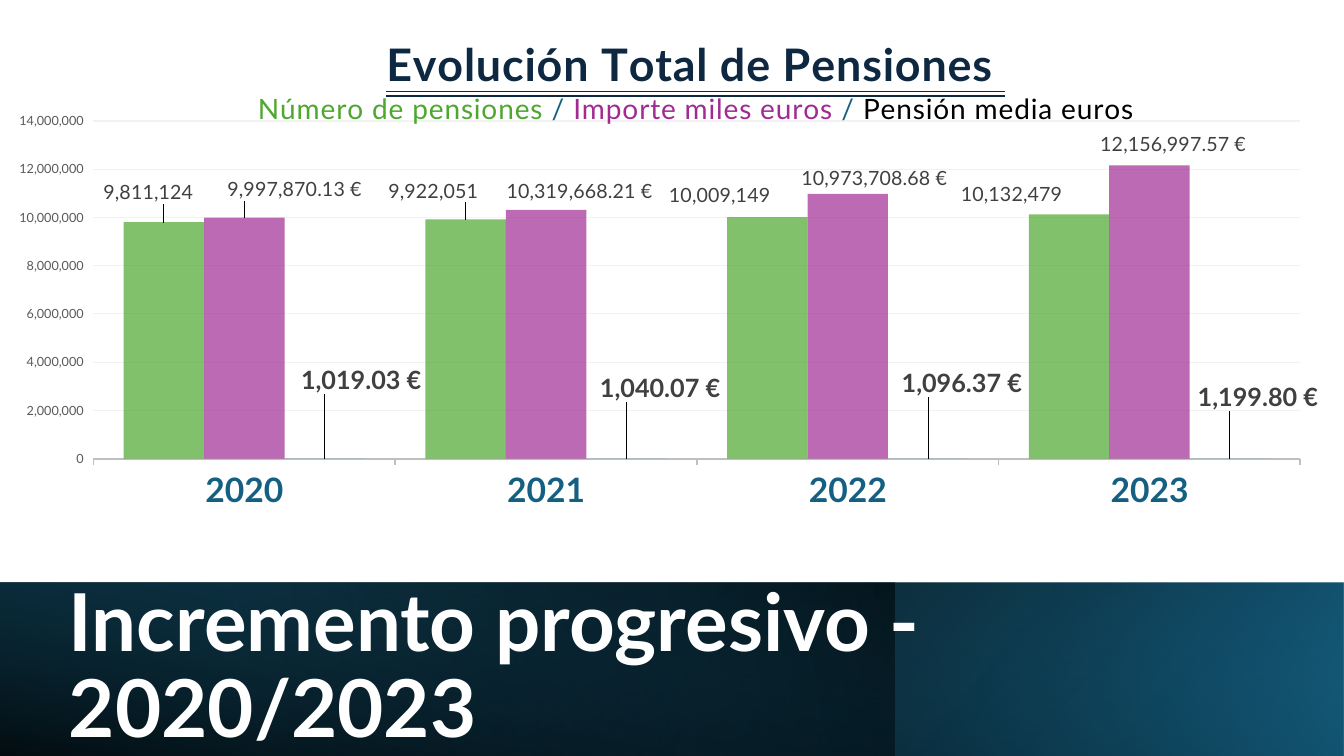
from lxml import etree
from pptx import Presentation
from pptx.chart import data
from pptx.dml.color import RGBColor
from pptx.enum import chart as charts, shapes, text
from pptx.oxml import ns
from pptx.util import Pt

FONT = "Lato"
BLACK = RGBColor(0x00, 0x00, 0x00)
WHITE = RGBColor(0xFF, 0xFF, 0xFF)
TEAL = RGBColor(0x15, 0x60, 0x82)
DEEP_TEAL = RGBColor(0x10, 0x48, 0x62)
NAVY = RGBColor(0x0E, 0x28, 0x41)
GREEN = RGBColor(0x4E, 0xA7, 0x2E)
PURPLE = RGBColor(0xA0, 0x2B, 0x93)
BLUE = RGBColor(0x0F, 0x9E, 0xD5)
LABEL_GRAY = RGBColor(0x40, 0x40, 0x40)
AXIS_GRAY = RGBColor(0x59, 0x59, 0x59)
LINE_GRAY = RGBColor(0xBF, 0xBF, 0xBF)
GRID_GRAY = RGBColor(0xF2, 0xF2, 0xF2)

SLIDE_WIDTH, SLIDE_HEIGHT = 960, 540
BAND_TOP, BAND_HEIGHT = 416, 125
CHART_LEFT, CHART_WIDTH, CHART_HEIGHT = -10, 960, 386

# Width, angle and stops (position, colour, opacity in percent), back to front
BAND_LAYERS = [
    (960, 140, [(34, BLACK, 96), (100, TEAL, 100)]),
    (639, 190, [(28, DEEP_TEAL, 59), (100, BLACK, 70)]),
    (960, 260, [(0, BLACK, 72), (100, TEAL, 0)]),
]

YEARS = ["2020", "2021", "2022", "2023"]
COUNT_FORMAT = "#,##0"
EURO_FORMAT = '#,##0.00\\ "€"'
# Name, values, colour, number format, label size, bold, label shifts in points
SERIES = [
    ("Número de pensiones", [9811124, 9922051, 10009149, 10132479],
     GREEN, COUNT_FORMAT, 14, False, [(-11, -10), (-23, -9), (-34, -5), (-41, -3)]),
    ("Importe miles euros", [9997870.13, 10319668.21, 10973708.68, 12156997.57],
     PURPLE, EURO_FORMAT, 14, False, [(36, -9), (24, -2), (19, 0), (17, -4)]),
    ("Pensión media euros", [1019.03, 1040.07, 1096.37, 1199.8],
     BLUE, EURO_FORMAT, 18, True, [(26, -43), (24, -37), (24, -41), (20, -31)]),
]


def add_element(parent, tag, **attributes):
    element = etree.SubElement(parent, ns.qn(tag))
    for name, value in attributes.items():
        element.set(name, str(value))
    return element


def format_font(font, size, color, bold=False):
    font.name = FONT
    font.size = Pt(size)
    font.bold = bold
    font.color.rgb = color


def add_text(paragraph, content, size, color, bold=False, underline=None, spacing=None):
    run = paragraph.add_run()
    run.text = content
    format_font(run.font, size, color, bold)
    if underline:
        run.font.underline = underline
    if spacing:
        run.font._element.set("spc", str(round(spacing * 100)))


def add_band_layer(slide, width, angle, stops):
    """Add a mirrored rectangle with a partly transparent gradient."""
    shape = slide.shapes.add_shape(
        shapes.MSO_SHAPE.RECTANGLE, 0, Pt(BAND_TOP), Pt(width), Pt(BAND_HEIGHT))
    shape.shadow.inherit = False
    shape.line.fill.background()
    properties = shape.element.spPr
    properties.find(ns.qn("a:xfrm")).set("flipH", "1")
    gradient = etree.Element(ns.qn("a:gradFill"), rotWithShape="1")
    stop_list = add_element(gradient, "a:gsLst")
    for position, color, opacity in stops:
        stop = add_element(stop_list, "a:gs", pos=position * 1000)
        stop_color = add_element(stop, "a:srgbClr", val=color)
        add_element(stop_color, "a:alpha", val=opacity * 1000)
    add_element(gradient, "a:lin", ang=angle * 60000, scaled=0)
    properties.find(ns.qn("a:prstGeom")).addnext(gradient)


def format_slide_title(slide):
    title = slide.shapes.title
    title.element.getparent().append(title.element)
    title.left, title.top, title.width, title.height = Pt(42), Pt(432), Pt(878), Pt(91.5)
    frame = title.text_frame
    frame.word_wrap = True
    frame.auto_size = text.MSO_AUTO_SIZE.NONE
    frame.vertical_anchor = text.MSO_ANCHOR.MIDDLE
    paragraph = frame.paragraphs[0]
    paragraph.alignment = text.PP_ALIGN.LEFT
    paragraph.line_spacing = 0.9
    add_text(paragraph, "Incremento progresivo - 2020/2023", 57, WHITE, bold=True)


def set_layout(parent, index, modes=(), **fractions):
    """Place a chart part by fractions of the chart's size."""
    for old_layout in parent.findall(ns.qn("c:layout")):
        parent.remove(old_layout)
    layout = etree.Element(ns.qn("c:layout"))
    manual = add_element(layout, "c:manualLayout")
    for tag, value in modes:
        add_element(manual, tag, val=value)
    for name, value in fractions.items():
        add_element(manual, "c:" + name, val=round(value, 4))
    parent.insert(index, layout)


def format_chart_title(chart):
    frame = chart.chart_title.text_frame
    heading = frame.paragraphs[0]
    add_text(heading, "Evolución Total de Pensiones ", 32, NAVY, bold=True,
             underline=text.MSO_UNDERLINE.DOUBLE_LINE, spacing=0.5)
    key = frame.add_paragraph()
    for content, color in [("Número de pensiones", GREEN), (" / ", TEAL),
                           ("Importe miles euros", PURPLE), (" / ", TEAL),
                           ("Pensión media euros", BLACK)]:
        add_text(key, content, 20, color, spacing=0.5)
    title = next(chart.element.iter(ns.qn("c:title")))
    set_layout(title, 1, [("c:xMode", "edge"), ("c:yMode", "edge")], x=0.2, y=0.06)
    title.find(ns.qn("c:overlay")).set("val", "1")


def format_axes(chart):
    years = chart.category_axis
    format_font(years.tick_labels.font, 24, TEAL, bold=True)
    years.format.line.color.rgb = LINE_GRAY
    years.format.line.width = Pt(1.25)
    amounts = chart.value_axis
    format_font(amounts.tick_labels.font, 9, AXIS_GRAY)
    amounts.tick_labels.number_format = COUNT_FORMAT
    amounts.tick_labels.number_format_is_linked = False
    amounts.minimum_scale, amounts.maximum_scale, amounts.major_unit = 0, 14000000, 2000000
    amounts.format.line.fill.background()
    amounts.major_gridlines.format.line.color.rgb = GRID_GRAY
    amounts.major_gridlines.format.line.width = Pt(0.75)
    for axis in (years, amounts):
        axis.major_tick_mark = charts.XL_TICK_MARK.OUTSIDE


def format_series(series, color, number_format, size, bold, shifts):
    series.format.fill.solid()
    series.format.fill.fore_color.rgb = color
    fill_color = next(series.format.fill._xPr.iter(ns.qn("a:srgbClr")))
    add_element(fill_color, "a:alpha", val=70000)
    labels = series.data_labels
    labels.show_value = True
    labels.position = charts.XL_LABEL_POSITION.OUTSIDE_END
    labels.number_format = number_format
    labels.number_format_is_linked = False
    format_font(labels.font, size, LABEL_GRAY, bold)
    for index in range(len(shifts)):
        label = series.points[index].data_label
        label.position = charts.XL_LABEL_POSITION.OUTSIDE_END
        format_font(label.font, size, LABEL_GRAY, bold)
    for element, (right, down) in zip(labels._element.findall(ns.qn("c:dLbl")), shifts):
        set_layout(element, 1, x=right / CHART_WIDTH, y=down / CHART_HEIGHT)


def add_pension_chart(slide):
    chart_data = data.CategoryChartData()
    chart_data.categories = YEARS
    for name, values, _, number_format, *_ in SERIES:
        chart_data.add_series(name, values, number_format)
    chart = slide.shapes.add_chart(
        charts.XL_CHART_TYPE.COLUMN_CLUSTERED, Pt(CHART_LEFT), 0,
        Pt(CHART_WIDTH), Pt(CHART_HEIGHT), chart_data).chart
    format_font(chart.font, 10, BLACK)
    chart.has_legend = False
    format_chart_title(chart)
    format_axes(chart)
    plot = chart.plots[0]
    plot.gap_width = 75
    plot.overlap = 0
    plot.vary_by_categories = False
    for series, (_, _, *style) in zip(plot.series, SERIES):
        format_series(series, *style)
    plot_area = next(chart.element.iter(ns.qn("c:plotArea")))
    set_layout(plot_area, 0,
               [("c:layoutTarget", "inner"), ("c:xMode", "edge"), ("c:yMode", "edge")],
               x=0.08, y=0.224, w=0.898, h=0.625)


def main():
    presentation = Presentation()
    presentation.slide_width, presentation.slide_height = Pt(SLIDE_WIDTH), Pt(SLIDE_HEIGHT)
    slide = presentation.slides.add_slide(presentation.slide_layouts[5])
    for layer in BAND_LAYERS:
        add_band_layer(slide, *layer)
    format_slide_title(slide)
    add_pension_chart(slide)
    presentation.save("out.pptx")


if __name__ == "__main__":
    main()
